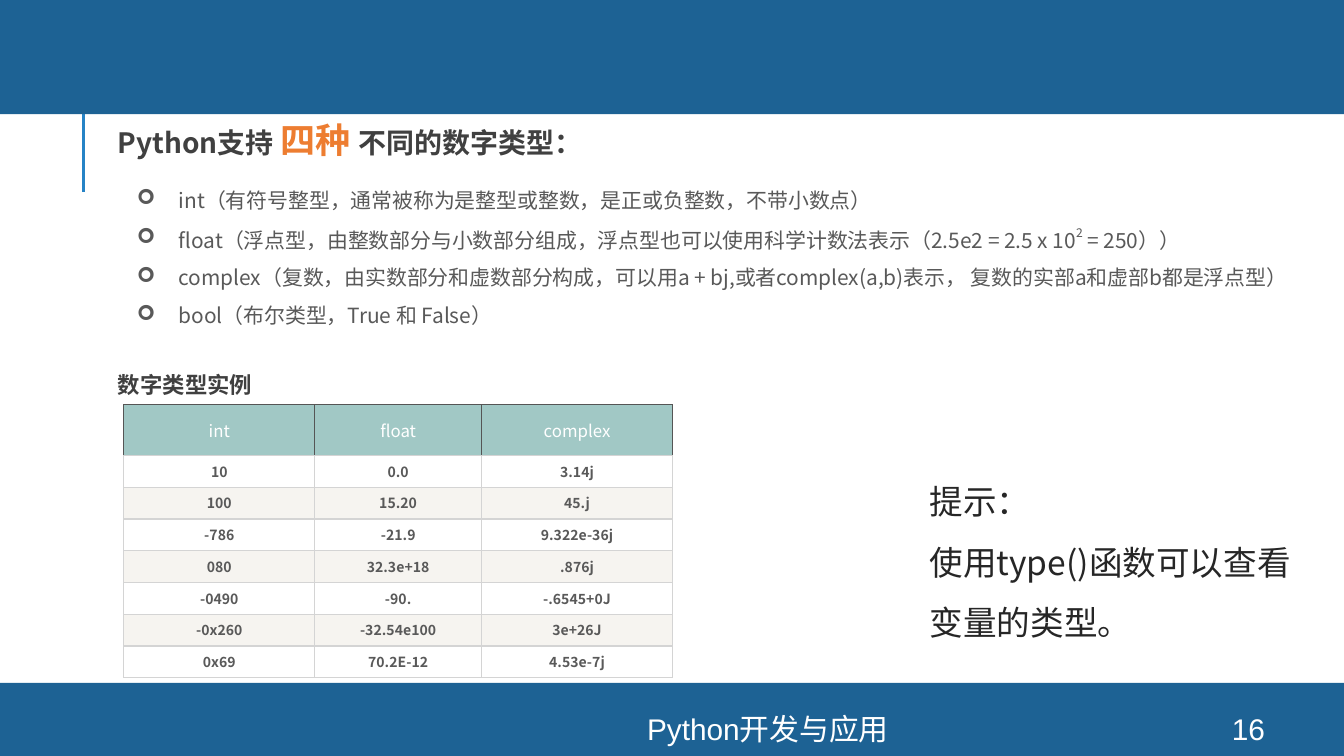
from lxml.etree import SubElement
from pptx import Presentation
from pptx.dml.color import RGBColor
from pptx.enum.shapes import MSO_CONNECTOR, MSO_SHAPE
from pptx.enum.text import MSO_ANCHOR, MSO_AUTO_SIZE, PP_ALIGN
from pptx.oxml.ns import qn
from pptx.util import Cm, Pt

BLUE = RGBColor(0x1D, 0x62, 0x94)
ACCENT_BLUE = RGBColor(0x26, 0x83, 0xC6)
ORANGE = RGBColor(0xED, 0x7D, 0x31)
TEAL = RGBColor(0xA1, 0xC8, 0xC5)
WHITE = RGBColor(0xFF, 0xFF, 0xFF)
CREAM = RGBColor(0xF6, 0xF4, 0xF0)
HEADING = RGBColor(0x40, 0x40, 0x40)
BODY = RGBColor(0x59, 0x59, 0x59)
TIP = RGBColor(0x26, 0x26, 0x26)
DARK_BORDER = RGBColor(0x55, 0x55, 0x55)
LIGHT_BORDER = RGBColor(0xD4, 0xD4, 0xD4)

NUMBER_TYPES = [
    ["int（有符号整型，通常被称为是整型或整数，是正或负整数，不带小数点）"],
    ["float（浮点型，由整数部分与小数部分组成，浮点型也可以使用科学计数法表示（2.5e2 = 2.5 x 10",
     "2", " = 250））"],
    ["complex（复数，由实数部分和虚数部分构成，可以用a + bj,或者complex(a,b)表示， 复数的实部a和虚部b都是浮点型）"],
    ["bool（布尔类型，True 和 False）"],
]
EXAMPLES = [
    ("int", "float", "complex"),
    ("10", "0.0", "3.14j"),
    ("100", "15.20", "45.j"),
    ("-786", "-21.9", "9.322e-36j"),
    ("080", "32.3e+18", ".876j"),
    ("-0490", "-90.", "-.6545+0J"),
    ("-0x260", "-32.54e100", "3e+26J"),
    ("0x69", "70.2E-12", "4.53e-7j"),
]


class SlideBuilder:
    font_name = "Noto Sans CJK SC"
    footer_font = "Arial"

    def __init__(self, slide):
        self.slide = slide

    def format_run(self, run, size, color, bold=False, font_name=None):
        run.font.name = font_name or self.font_name
        run.font.size = Pt(size)
        run.font.bold = bold
        run.font.color.rgb = color
        east_asian = SubElement(run._r.get_or_add_rPr(), qn("a:ea"))
        east_asian.set("typeface", self.font_name)

    def bar(self, top, height):
        shape = self.slide.shapes.add_shape(
            MSO_SHAPE.RECTANGLE, 0, Cm(top), Cm(25.4), Cm(height))
        shape.shadow.inherit = False
        shape.fill.solid()
        shape.fill.fore_color.rgb = BLUE
        shape.line.fill.background()

    def vertical_line(self, left, top, bottom):
        line = self.slide.shapes.add_connector(
            MSO_CONNECTOR.STRAIGHT, Cm(left), Cm(bottom), Cm(left), Cm(top))
        line.line.color.rgb = ACCENT_BLUE
        line.line.width = Pt(1.5)
        SubElement(line._element.spPr, qn("a:effectLst"))

    def text(self, left, top, width, height, paragraphs, size, color,
             bold=False, spacing=None, wrap=True):
        shape = self.slide.shapes.add_textbox(Cm(left), Cm(top), Cm(width), Cm(height))
        frame = shape.text_frame
        frame.word_wrap = wrap
        frame.auto_size = MSO_AUTO_SIZE.SHAPE_TO_FIT_TEXT
        frame.text = "\n".join(pieces[0] for pieces in paragraphs)
        for paragraph, pieces in zip(frame.paragraphs, paragraphs):
            for piece in pieces[1:]:
                paragraph.add_run().text = piece
            if spacing:
                paragraph.line_spacing = spacing
            for run in paragraph.runs:
                self.format_run(run, size, color, bold)
        return frame

    def title(self, pieces):
        frame = self.text(1.98, 2.11, 9.37, 1.07, [pieces], 15, HEADING, True, wrap=False)
        emphasis = frame.paragraphs[0].runs[1].font
        emphasis.size = Pt(18.8)
        emphasis.color.rgb = ORANGE

    def bullets(self, items):
        frame = self.text(2.34, 3.18, 23.04, 3.15, items, 11.2, BODY, spacing=1.5)
        for paragraph in frame.paragraphs:
            properties = paragraph._p.get_or_add_pPr()
            properties.set("marL", str(Cm(0.79)))
            properties.set("indent", str(-Cm(0.79)))
            SubElement(properties, qn("a:buFont")).set("typeface", "Wingdings")
            SubElement(properties, qn("a:buChar")).set("char", "➢")
            for run in paragraph.runs[1:2]:
                run._r.get_or_add_rPr().set("baseline", "50000")

    def footer(self, left, width, content):
        shape = self.slide.shapes.add_textbox(Cm(left), Cm(13.49), Cm(width), Cm(0.58))
        frame = shape.text_frame
        frame.word_wrap = True
        frame.vertical_anchor = MSO_ANCHOR.MIDDLE
        frame.text = content
        paragraph = frame.paragraphs[0]
        paragraph.alignment = PP_ALIGN.CENTER
        self.format_run(paragraph.runs[0], 16, WHITE, font_name=self.footer_font)

    def cell(self, cell, content, row):
        header = row == 0
        cell.text = content
        cell.vertical_anchor = MSO_ANCHOR.MIDDLE if header else MSO_ANCHOR.TOP
        margin = Cm(0.05 if header else 0.1)
        cell.margin_left = cell.margin_right = margin
        cell.margin_top = cell.margin_bottom = margin
        paragraph = cell.text_frame.paragraphs[0]
        paragraph.alignment = PP_ALIGN.CENTER
        self.format_run(paragraph.runs[0], 9 if header else 7.5,
                        WHITE if header else BODY, not header)
        properties = cell._tc.get_or_add_tcPr()
        for side in ("lnL", "lnR", "lnT", "lnB"):
            border = SubElement(properties, qn(f"a:{side}"), w=str(Pt(0.75)))
            color = DARK_BORDER if header and side != "lnB" else LIGHT_BORDER
            fill = SubElement(border, qn("a:solidFill"))
            SubElement(fill, qn("a:srgbClr"), val=str(color))
        cell.fill.solid()
        cell.fill.fore_color.rgb = TEAL if header else (CREAM, WHITE)[row % 2]

    def table(self, left, top, widths, header_height, row_height, rows):
        height = header_height + row_height * (len(rows) - 1)
        table = self.slide.shapes.add_table(
            len(rows), len(widths), Cm(left), Cm(top), Cm(sum(widths)), Cm(height)).table
        for column, width in zip(table.columns, widths):
            column.width = Cm(width)
        for row_index, values in enumerate(rows):
            table.rows[row_index].height = Cm(row_height if row_index else header_height)
            for column_index, value in enumerate(values):
                self.cell(table.cell(row_index, column_index), value, row_index)


def main():
    presentation = Presentation()
    presentation.slide_width = Cm(25.4)
    presentation.slide_height = Cm(14.29)
    builder = SlideBuilder(presentation.slides.add_slide(presentation.slide_layouts[6]))
    builder.vertical_line(1.58, 1.73, 3.63)
    builder.bar(12.91, 1.38)
    builder.bar(-0.08, 2.24)
    builder.footer(6.63, 15.77, "Python开发与应用")
    builder.footer(22.58, 2.03, "16")
    builder.title(["Python支持 ", "四种 ", "不同的数字类型："])
    builder.bullets(NUMBER_TYPES)
    builder.text(1.98, 6.63, 18.52, 1.02, [["数字类型实例"]], 12, HEADING, True, 1.5)
    builder.table(2.34, 7.65, (3.61, 3.15, 3.61), 0.96, 0.6, EXAMPLES)
    builder.text(17.32, 8.59, 7.7, 3.71,
                 [["提示："], ["使用type()函数可以查看变量的类型。"]], 18, TIP, spacing=1.5)
    presentation.save("out.pptx")


if __name__ == "__main__":
    main()
